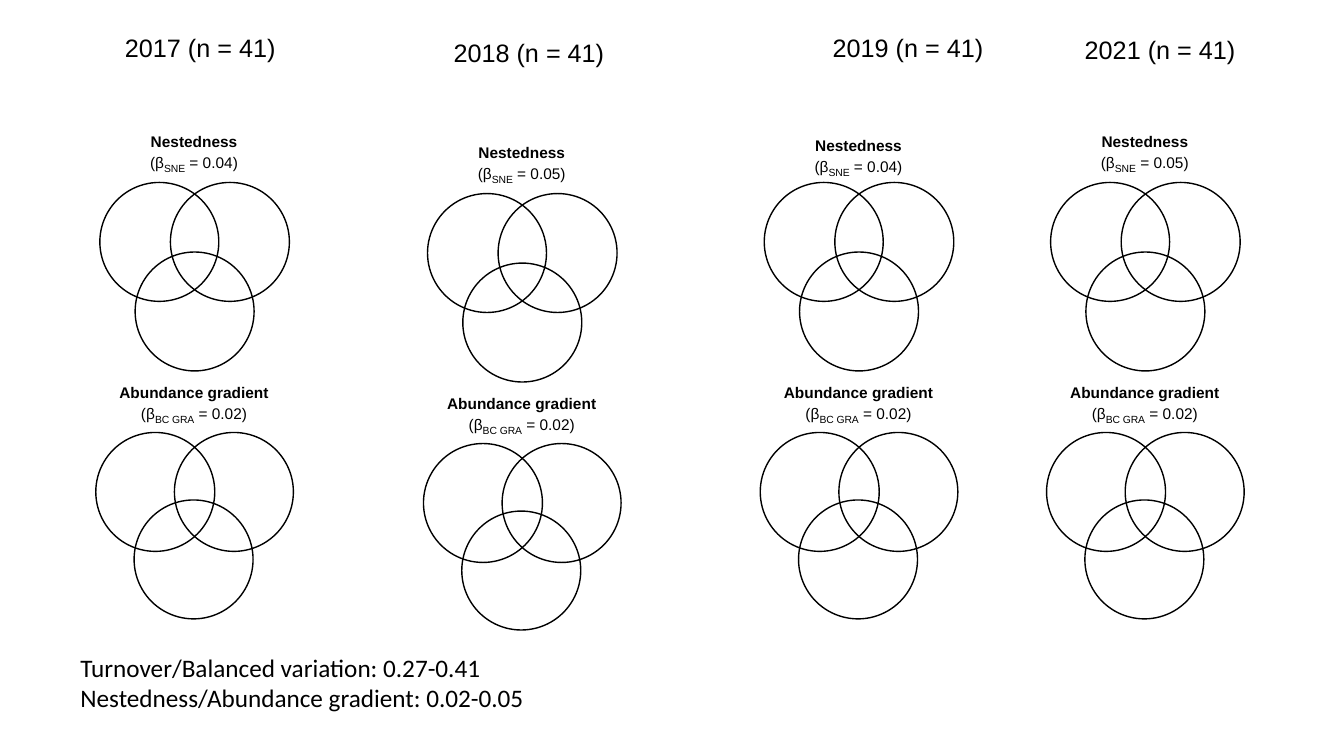
import pptx
import pptx.util
import pptx.dml.color
import pptx.enum.shapes
import pptx.enum.text

Inches = pptx.util.Inches
COLORS = {"ink": "000000"}
CIRCLE_SIZE = 1.18
LABEL_WIDTH = 2.39
COLUMNS = [
    {"year": "2017", "title": (1.14, 0.27, 1.74), "left": 0.73, "drop": 0, "label_top": 1.26, "nestedness": "0.04"},
    {"year": "2018", "title": (4.4, 0.32, 1.72), "left": 3.98, "drop": 0.11, "label_top": 1.37, "nestedness": "0.05"},
    {"year": "2019", "title": (8.16, 0.27, 1.75), "left": 7.32, "drop": 0, "label_top": 1.3, "nestedness": "0.04"},
    {"year": "2021", "title": (10.66, 0.29, 1.88), "left": 10.16, "drop": 0, "label_top": 1.26, "nestedness": "0.05"},
]
NESTEDNESS_CIRCLES = [(0.26, 1.81), (0.96, 1.81), (0.61, 2.5)]
GRADIENT_CIRCLES = [(0.22, 4.29), (1.0, 4.29), (0.6, 4.96)]


class VennSlide:
    """Draws the titles, labels and Venn diagrams of one slide."""

    def __init__(self, slide):
        self.slide = slide
        self.ink = pptx.dml.color.RGBColor.from_string(COLORS["ink"])

    def format_run(self, run, size, font="Arial", bold=False):
        run.font.size = pptx.util.Pt(size)
        run.font.name = font
        run.font.bold = bold
        run.font.color.rgb = self.ink

    def text_frame(self, left, top, width, height):
        box = self.slide.shapes.add_textbox(Inches(left), Inches(top), Inches(width), Inches(height))
        box.text_frame.word_wrap = True
        box.text_frame.auto_size = pptx.enum.text.MSO_AUTO_SIZE.SHAPE_TO_FIT_TEXT
        return box.text_frame

    def text(self, text, left, top, width, height=0.4, font="Arial"):
        frame = self.text_frame(left, top, width, height)
        frame.text = text
        for paragraph in frame.paragraphs:
            for run in paragraph.runs:
                self.format_run(run, 18, font)

    def label(self, heading, subscript, value, left, top):
        frame = self.text_frame(left, top, LABEL_WIDTH, 0.5)
        frame.text = heading
        self.format_run(frame.paragraphs[0].runs[0], 11, bold=True)
        formula = frame.add_paragraph()
        for text, size in (("(β", 11), (subscript, 12.7), (f" = {value})", 11)):
            run = formula.add_run()
            run.text = text
            self.format_run(run, size)
        formula.runs[1]._r.get_or_add_rPr().set("baseline", "-25000")
        for paragraph in frame.paragraphs:
            paragraph.alignment = pptx.enum.text.PP_ALIGN.CENTER

    def venn(self, circles, left, drop):
        for offset, top in circles:
            circle = self.slide.shapes.add_shape(
                pptx.enum.shapes.MSO_SHAPE.OVAL, Inches(left + offset), Inches(top + drop),
                Inches(CIRCLE_SIZE), Inches(CIRCLE_SIZE))
            circle.shadow.inherit = False
            circle.fill.background()
            circle.line.color.rgb = self.ink
            circle.line.width = pptx.util.Pt(1)


def main():
    presentation = pptx.Presentation()
    presentation.slide_width = Inches(13.33)
    presentation.slide_height = Inches(7.5)
    venn_slide = VennSlide(presentation.slides.add_slide(presentation.slide_layouts[6]))

    for column in COLUMNS:
        left, drop = column["left"], column["drop"]
        venn_slide.text(f"{column['year']} (n = 41)", *column["title"])
        venn_slide.label("Nestedness", "SNE", column["nestedness"], left, column["label_top"])
        venn_slide.venn(NESTEDNESS_CIRCLES, left, drop)
        venn_slide.label("Abundance gradient", "BC GRA", "0.02", left, 3.75 + drop)
        venn_slide.venn(GRADIENT_CIRCLES, left, drop)

    venn_slide.text(
        "Turnover/Balanced variation: 0.27-0.41\nNestedness/Abundance gradient: 0.02-0.05",
        0.7, 6.42, 12.44, 0.71, "Calibri")
    presentation.save("out.pptx")


if __name__ == "__main__":
    main()
